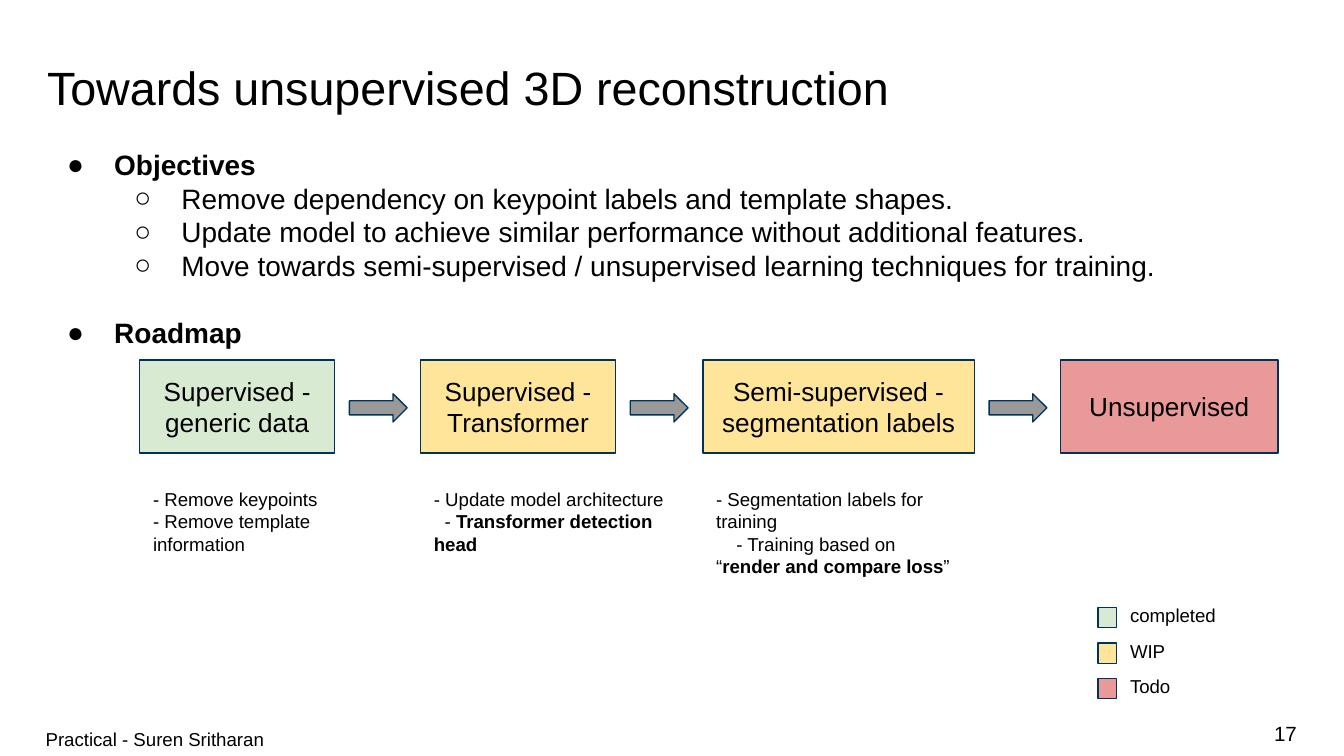
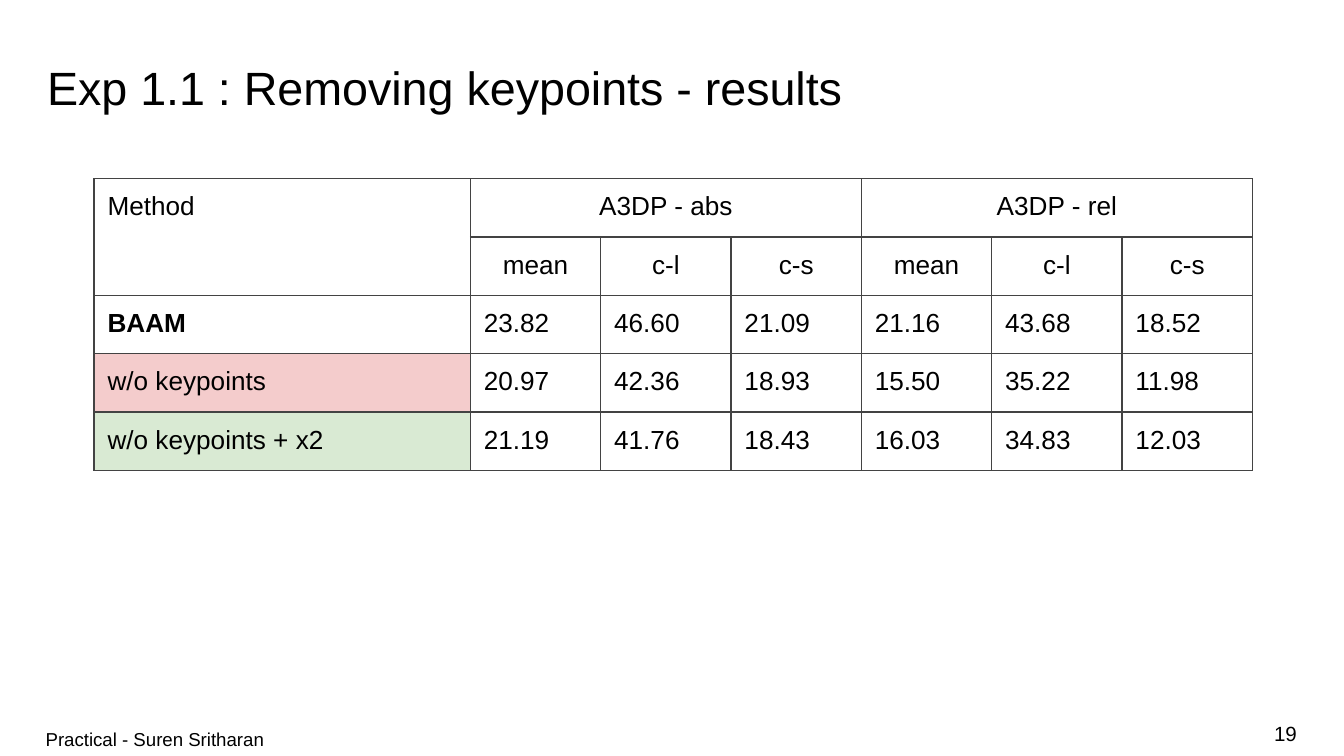
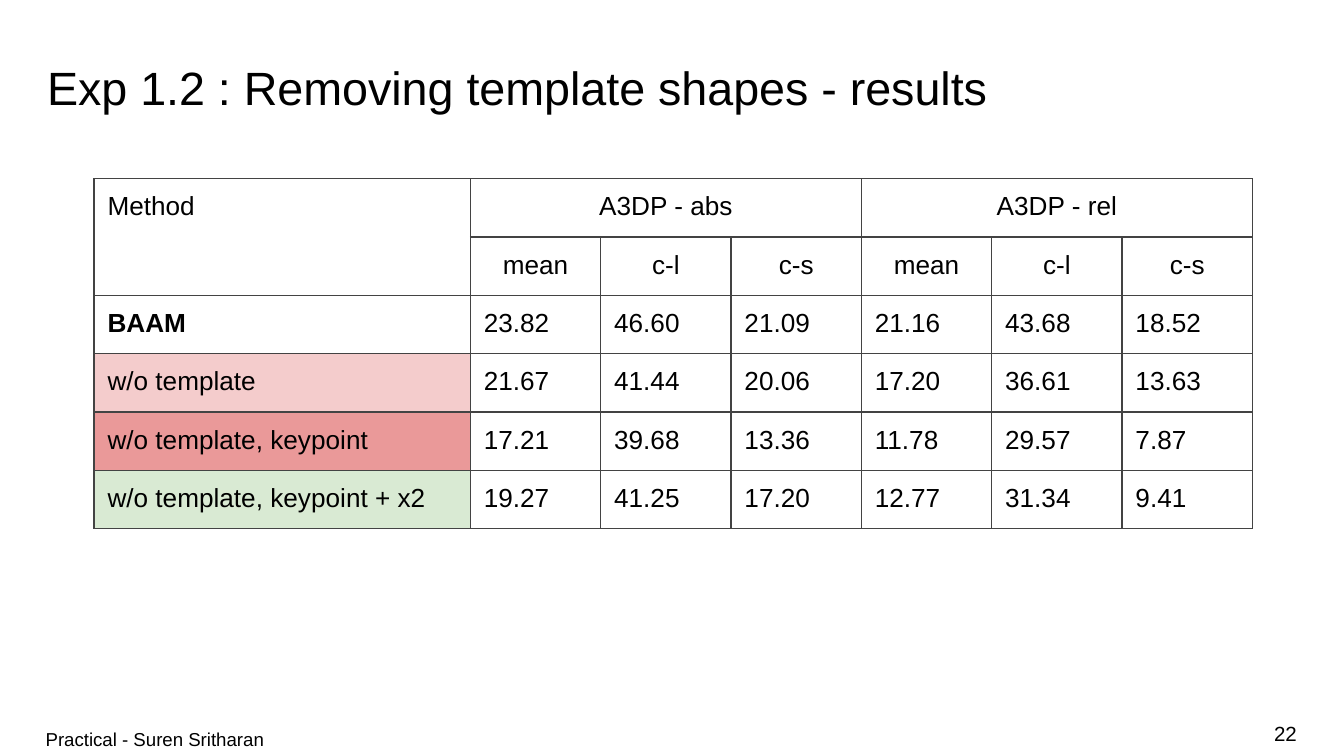
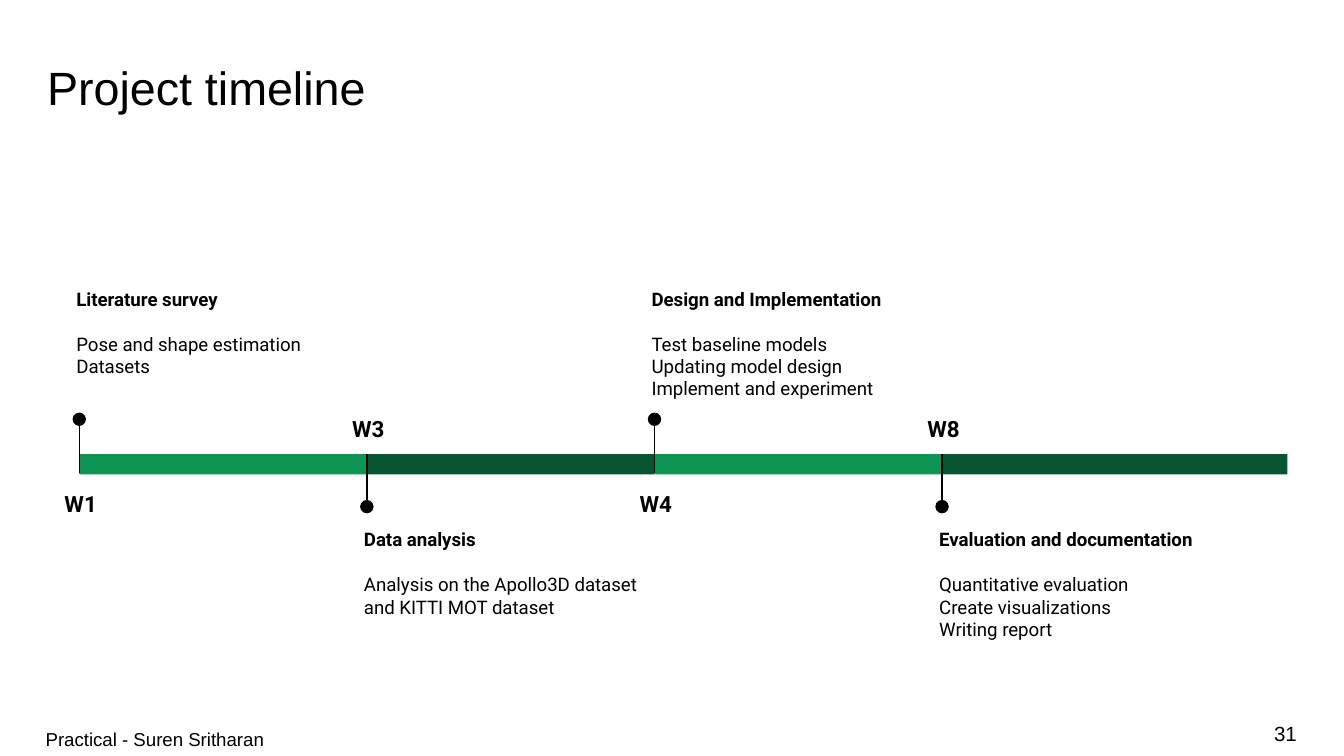
from lxml import etree
from pptx import Presentation
from pptx.dml.color import RGBColor
from pptx.enum import shapes, text
from pptx.oxml import ns
from pptx.util import Inches, Pt

BLACK = RGBColor(0, 0, 0)
NAVY = RGBColor(0x00, 0x33, 0x59)
GREY = RGBColor(0x99, 0x99, 0x99)
MINT = RGBColor(0xD9, 0xEA, 0xD3)
SAND = RGBColor(0xFF, 0xE5, 0x99)
ROSE = RGBColor(0xEA, 0x99, 0x99)
BLUSH = RGBColor(0xF4, 0xCC, 0xCC)
GREEN = RGBColor(0x0E, 0x94, 0x53)
PINE = RGBColor(0x08, 0x56, 0x31)
RULE = RGBColor(0x43, 0x43, 0x43)

MID = text.MSO_ANCHOR.MIDDLE
CENTER = text.PP_ALIGN.CENTER
RIGHT = text.PP_ALIGN.RIGHT
KIND = shapes.MSO_SHAPE

FOOTER = "Practical - Suren Sritharan"

GOALS = [
    (0, "Objectives"),
    (1, "Remove dependency on keypoint labels and template shapes."),
    (1, "Update model to achieve similar performance without additional features."),
    (1, "Move towards semi-supervised / unsupervised learning techniques for training."),
    (0, "Roadmap"),
]

STAGES = [
    ("Supervised - generic data", 1.04, 1.45, MINT, 0.71,
     [(0, ["- Remove keypoints"]), (0, ["- Remove template information"])]),
    ("Supervised - Transformer", 3.13, 1.45, SAND, 0.71,
     [(0, ["- Update model architecture"]),
      (0.08, ["- ", "Transformer detection head"])]),
    ("Semi-supervised - segmentation labels", 5.23, 2.02, SAND, 0.88,
     [(0, ["- Segmentation labels for training"]),
      (0.15, ["- Training based on “", "render and compare loss", "”"])]),
    ("Unsupervised", 7.89, 1.62, ROSE, 0, []),
]

LEGEND = [("completed", MINT), ("WIP", SAND), ("Todo", ROSE)]

GROUPS = ["A3DP - abs", "A3DP - rel"]
SCORES = ["mean", "c-l", "c-s"]
BASE = ("BAAM", None, "23.82 46.60 21.09 21.16 43.68 18.52")
KEYS = [
    BASE,
    ("w/o keypoints", BLUSH, "20.97 42.36 18.93 15.50 35.22 11.98"),
    ("w/o keypoints + x2", MINT, "21.19 41.76 18.43 16.03 34.83 12.03"),
]
FORMS = [
    BASE,
    ("w/o template", BLUSH, "21.67 41.44 20.06 17.20 36.61 13.63"),
    ("w/o template, keypoint", ROSE, "17.21 39.68 13.36 11.78 29.57 7.87"),
    ("w/o template, keypoint + x2", MINT, "19.27 41.25 17.20 12.77 31.34 9.41"),
]

PHASES = [
    ("W1", "Literature survey", ["Pose and shape estimation", "Datasets"]),
    ("W3", "Data analysis", ["Analysis on the Apollo3D dataset and KITTI MOT dataset"]),
    ("W4", "Design and Implementation",
     ["Test baseline models", "Updating model design", "Implement and experiment"]),
    ("W8", "Evaluation and documentation",
     ["Quantitative evaluation", "Create visualizations", "Writing report"]),
]


def style(para, size, bold=False, face="Arial"):
    font = para.font
    font.name, font.size, font.bold = face, Pt(size), bold
    font.color.rgb = BLACK


def add_child(node, tag, **attrs):
    return etree.SubElement(node, ns.qn(tag), attrs)


def box(slide, x, y, w, h, lines, size, pad=(0.1, 0.1), **looks):
    frame = slide.shapes.add_textbox(*map(Inches, (x, y, w, h))).text_frame
    return fill_text(frame, lines, size, pad, **looks)


def fill_text(frame, lines, size, pad=(0.1, 0.1), anchor=None,
              align=None, bold=False, face="Arial", space=None):
    frame.word_wrap = True
    frame.margin_left = frame.margin_right = Inches(pad[0])
    frame.margin_top = frame.margin_bottom = Inches(pad[1])
    if anchor is not None:
        frame.vertical_anchor = anchor
    for i, line in enumerate(lines):
        para = frame.paragraphs[0] if i == 0 else frame.add_paragraph()
        para.text = line
        para.alignment = align
        if space:
            para.line_spacing = space
        style(para, size, bold, face)
    return frame


def block(slide, kind, x, y, w, h, fill, line=NAVY):
    shape = slide.shapes.add_shape(kind, *map(Inches, (x, y, w, h)))
    shape.shadow.inherit = False
    shape.fill.solid()
    shape.fill.fore_color.rgb = fill
    if line is None:
        shape.line.fill.background()
    else:
        shape.line.color.rgb = line
        shape.line.width = Pt(0.75)
    return shape


def new_slide(deck, title, number):
    slide = deck.slides.add_slide(deck.slide_layouts[6])
    box(slide, 0.35, 0.32, 9.31, 0.42, [title], 25, (0, 0), space=1.28)
    box(slide, 7.41, 5.31, 2.24, 0.3, [number], 11, (0, 0.05), anchor=MID, align=RIGHT)
    box(slide, 0.34, 5.31, 7.07, 0.3, [FOOTER], 10, (0, 0.05), anchor=MID, space=1.5)
    return slide


def add_goals(slide):
    frame = slide.shapes.add_textbox(*map(Inches, (0.35, 1.1, 9.31, 3.87))).text_frame
    frame.word_wrap = True
    frame.margin_left = frame.margin_right = 0
    frame.margin_top = frame.margin_bottom = 0
    for i, (level, line) in enumerate(GOALS):
        para = frame.paragraphs[0] if i == 0 else frame.add_paragraph()
        para.text = line
        para.level = level
        if i and level == 0:
            para.space_before = Pt(18)
        props = para._p.get_or_add_pPr()
        props.set("marL", str(Inches(0.5 + 0.5 * level)))
        props.set("indent", str(Inches(-0.35)))
        add_child(add_child(props, "a:buClr"), "a:srgbClr", val=str(BLACK))
        add_child(props, "a:buFont", typeface="Arial")
        add_child(props, "a:buChar", char="●○"[level])
        style(para, 15, level == 0)


def add_notes(slide, x, h, notes):
    frame = box(slide, x, 3.53, 2.02, h, [""] * len(notes), 10)
    for para, (indent, parts) in zip(frame.paragraphs, notes):
        para._p.get_or_add_pPr().set("indent", str(Inches(indent)))
        for i, part in enumerate(parts):
            run = para.add_run()
            run.text = part
            run.font.bold = i == 1


def add_roadmap(slide):
    for i, (name, x, w, fill, h, notes) in enumerate(STAGES):
        stage = block(slide, KIND.RECTANGLE, x, 2.68, w, 0.69, fill)
        fill_text(stage.text_frame, [name], 14, anchor=MID, align=CENTER)
        if notes:
            add_notes(slide, x, h, notes)
        if i < len(STAGES) - 1:
            block(slide, KIND.RIGHT_ARROW, x + w + 0.11, 2.93, 0.43, 0.21, GREY)
    for i, (name, fill) in enumerate(LEGEND):
        y = 4.41 + 0.53 * i / 2
        block(slide, KIND.RECTANGLE, 8.17, y + 0.11, 0.14, 0.15, fill)
        box(slide, 8.31, y, 1.34, 0.37, [name], 10)


def set_cell(cell, label, fill=None, align=None, bold=False):
    fill_text(cell.text_frame, [label], 14, align=align, bold=bold)
    cell.margin_left = cell.margin_right = Inches(0.1)
    cell.margin_top = cell.margin_bottom = Inches(0.1)
    props = cell._tc.get_or_add_tcPr()
    for side in "LRTB":
        line = add_child(props, f"a:ln{side}", w=str(Pt(0.75)))
        add_child(add_child(line, "a:solidFill"), "a:srgbClr", val=str(RULE))
    if fill is None:
        cell.fill.background()
    else:
        cell.fill.solid()
        cell.fill.fore_color.rgb = fill


def add_scores(slide, data):
    span = len(SCORES)
    heads = [name for group in GROUPS for name in [group] + [""] * (span - 1)]
    rows = [["Method"] + heads, [""] + SCORES * len(GROUPS)]
    rows += [[name] + nums.split() for name, _, nums in data]
    fills = [None, None] + [fill for _, fill, _ in data]
    wide = [2.8] + [0.97] * len(heads)
    high = 0.42
    table = slide.shapes.add_table(
        len(rows), len(wide), Inches(0.7), Inches(1.33),
        Inches(sum(wide)), Inches(high * len(rows))).table
    table.first_row = table.horz_banding = False
    for col, w in zip(table.columns, wide):
        col.width = Inches(w)
    for r, row in enumerate(rows):
        table.rows[r].height = Inches(high)
        for c, label in enumerate(row):
            set_cell(table.cell(r, c), label, fills[r] if c == 0 else None,
                     CENTER if r < 2 and c else None, label == BASE[0])
    table.cell(0, 0).merge(table.cell(1, 0))
    for c in range(1, len(wide), span):
        table.cell(0, c).merge(table.cell(0, c + span - 1))


def add_phases(slide):
    step, bar = 2.14, 3.38
    for i, (week, name, tasks) in enumerate(PHASES):
        x, up = 0.59 + step * i, i % 2 == 0
        w = 2.57 if i == len(PHASES) - 1 else step
        block(slide, KIND.RECTANGLE, x, bar, w, 0.15, GREEN if up else PINE, None)
        start, end, dot = (3.13, 3.52, 3.07) if up else (3.77, bar, 3.72)
        stem = slide.shapes.add_connector(
            shapes.MSO_CONNECTOR.STRAIGHT, *map(Inches, (x, start, x, end)))
        stem.line.color.rgb = BLACK
        stem.line.width = Pt(0.75)
        add_child(stem._element.spPr, "a:effectLst")
        block(slide, KIND.OVAL, x - 0.05, dot, 0.1, 0.1, BLACK, None)
        box(slide, x - 0.4, 3.52 if up else 2.96, 0.82, 0.41, [week], 12,
            align=CENTER, bold=True, face="Roboto", space=1.15)
        frame = box(slide, x - 0.12, 2.04 if up else 3.83, 2.46, 1.03,
                    [name] + tasks, 10, face="Roboto")
        frame.paragraphs[0].font.bold = True
        frame.paragraphs[1].space_before = Pt(12)


def main():
    deck = Presentation()
    deck.slide_width = Inches(10)
    deck.slide_height = deck.slide_width * 9 // 16
    slide = new_slide(deck, "Towards unsupervised 3D reconstruction", "17")
    add_goals(slide)
    add_roadmap(slide)
    add_scores(new_slide(deck, "Exp 1.1 : Removing keypoints - results", "19"), KEYS)
    add_scores(new_slide(deck, "Exp 1.2 : Removing template shapes - results", "22"), FORMS)
    add_phases(new_slide(deck, "Project timeline", "31"))
    deck.save("out.pptx")


if __name__ == "__main__":
    main()
